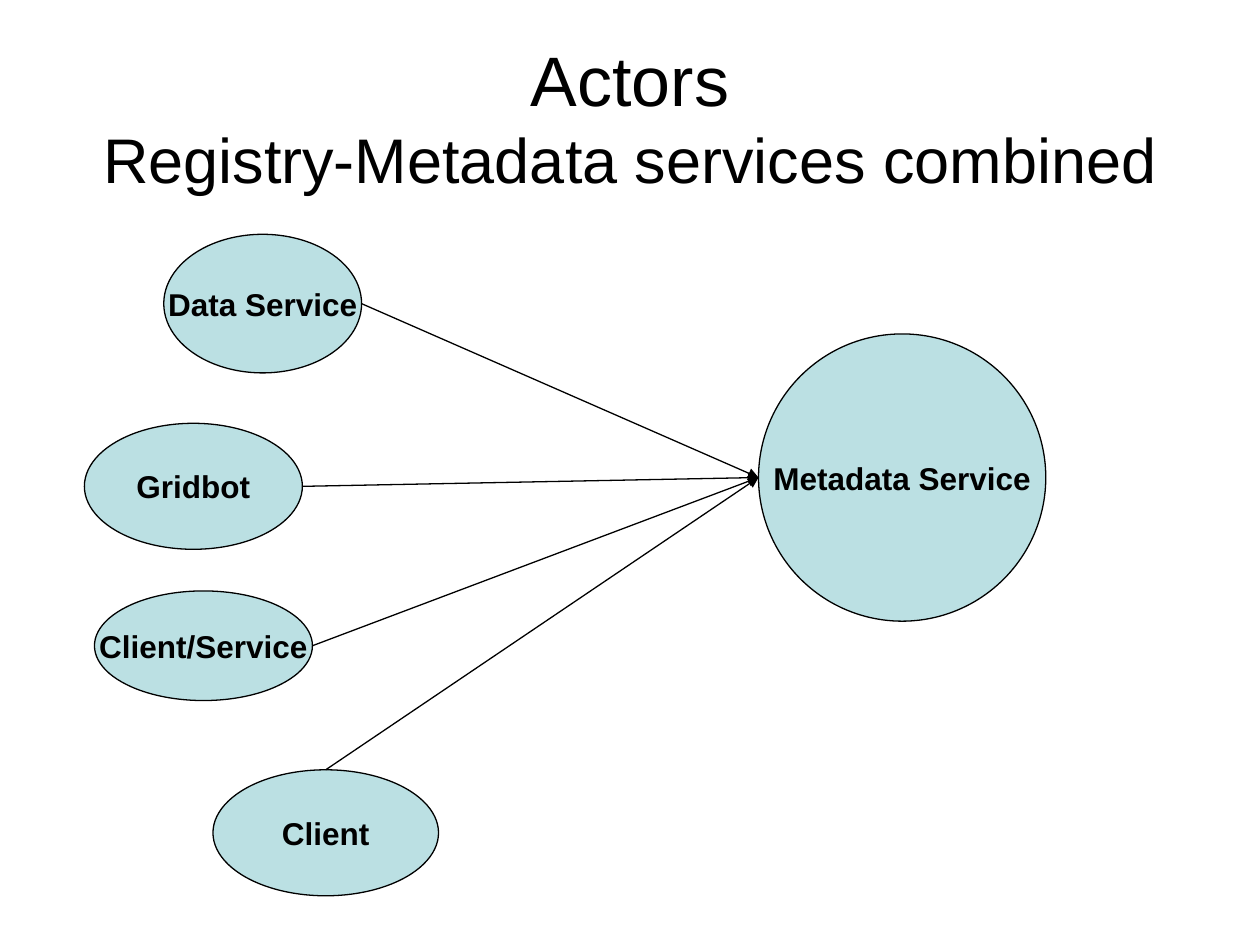
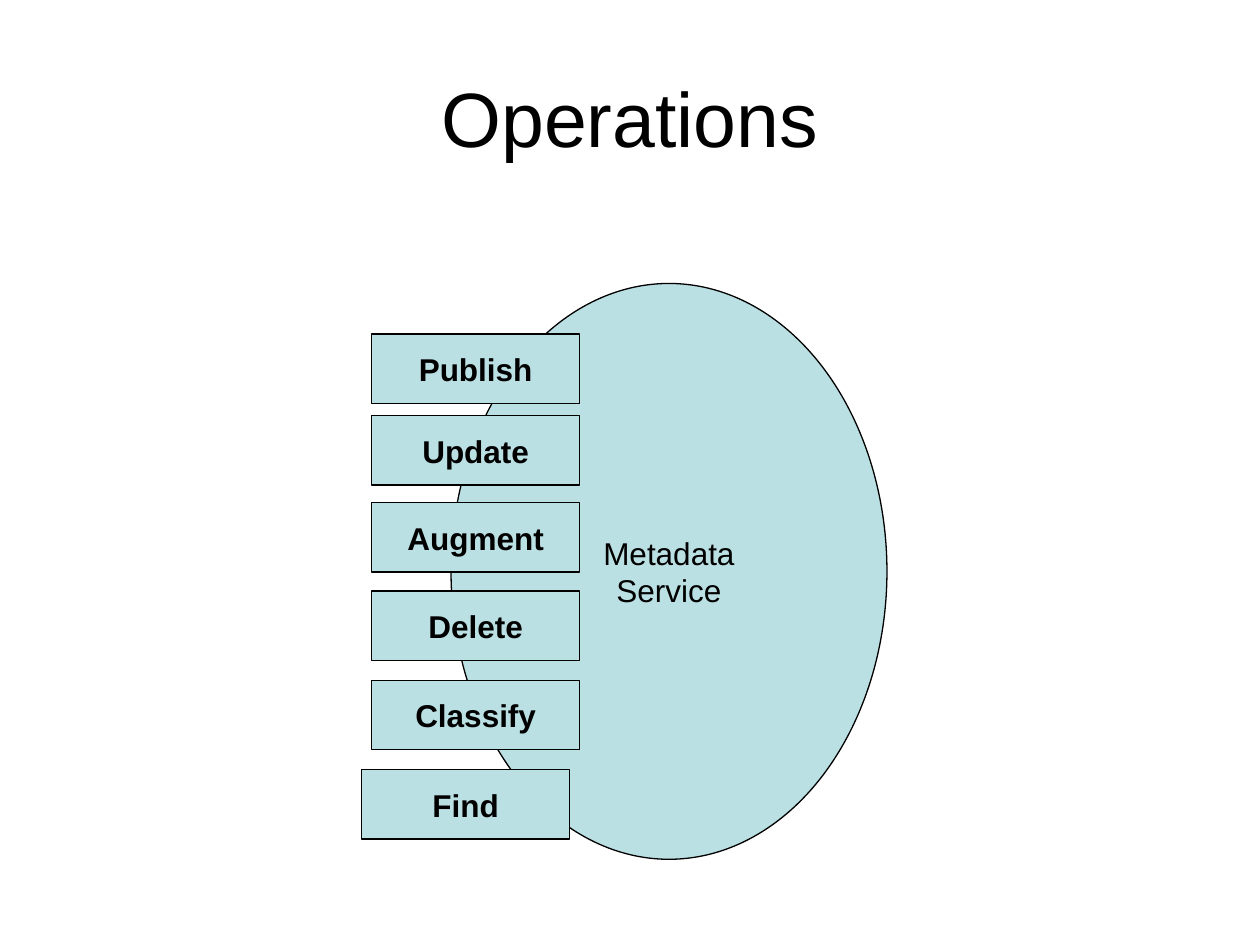
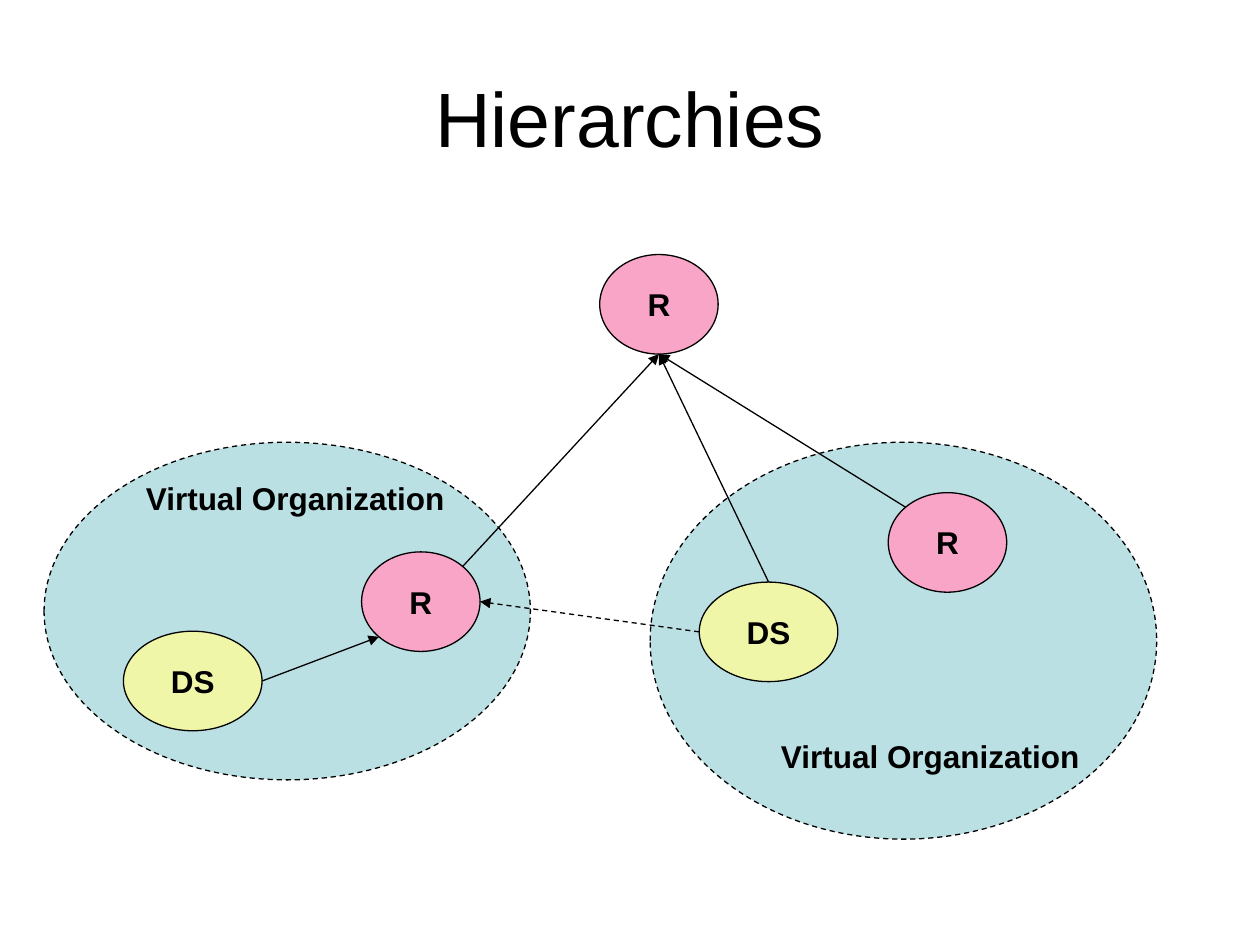
from math import cos, radians, sin

from lxml.etree import SubElement
from pptx import Presentation
from pptx.dml.color import RGBColor
from pptx.enum.dml import MSO_LINE
from pptx.enum.shapes import MSO_CONNECTOR, MSO_SHAPE
from pptx.enum.text import MSO_ANCHOR, MSO_AUTO_SIZE, PP_ALIGN
from pptx.oxml.ns import qn
from pptx.util import Pt

PX = 9144
FONT = "Arial"
BLACK, TEAL, PINK, YELLOW = "000000", "BBE0E3", "F9A5C7", "F0F6A8"
RIGHT, BOTTOM, LEFT, TOP = 0, 90, 180, 270
BOTTOM_LEFT, TOP_LEFT, TOP_RIGHT = 135, 225, 315


def px(*lengths):
    """Turn px lengths into EMU."""
    return [n * PX for n in lengths]


def rgb(color):
    """Return the colour of a hex string."""
    return RGBColor.from_string(color)


def style_run(r, size, bold):
    """Give a run the deck's font and colour."""
    r.font.name = FONT
    r.font.size = Pt(size)
    r.font.bold = bold
    r.font.color.rgb = rgb(BLACK)


def style_line(line, dashed):
    """Draw a thin black line, solid or dashed."""
    line.color.rgb = rgb(BLACK)
    line.width = Pt(0.75)
    if dashed:
        line.dash_style = MSO_LINE.DASH


def write(tf, text, align=PP_ALIGN.CENTER, bold=True):
    """Fill a text frame with unwrapped label text."""
    tf.text = text
    tf.word_wrap = False
    for p in tf.paragraphs:
        p.alignment = align
        for r in p.runs:
            style_run(r, 18, bold)


def add_titled_slide(prs, text, *sizes):
    """Add a title-only slide, with one font size for each title line."""
    s = prs.slides.add_slide(prs.slide_layouts[5])
    sp = s.shapes.title
    sp.left, sp.top, sp.width, sp.height = px(50, 30, 900, 125)
    tf = sp.text_frame
    tf.text = text
    tf.word_wrap = True
    tf.auto_size = MSO_AUTO_SIZE.NONE
    tf.vertical_anchor = MSO_ANCHOR.MIDDLE
    p = tf.paragraphs[0]
    p.alignment = PP_ALIGN.CENTER
    for r, size in zip(p.runs, sizes):
        style_run(r, size, False)
    for br in p._p.findall(qn("a:br")):
        SubElement(br, qn("a:rPr"), sz=str(sizes[0] * 100))
    return s


def add_node(shapes, kind, box, text="", fill=TEAL, bold=True, dashed=False):
    """Add a filled, outlined shape with a centred label."""
    sp = shapes.add_shape(kind, *px(*box))
    sp.shadow.inherit = False
    sp.fill.solid()
    sp.fill.fore_color.rgb = rgb(fill)
    style_line(sp.line, dashed)
    if text:
        sp.text_frame.vertical_anchor = MSO_ANCHOR.MIDDLE
        write(sp.text_frame, text, bold=bold)
    return sp


def add_oval(shapes, box, text="", **look):
    """Add an ellipse node."""
    return add_node(shapes, MSO_SHAPE.OVAL, box, text, **look)


def add_organization(s, box, label_box):
    """Add a dashed organization ellipse grouped with its label."""
    shapes = s.shapes.add_group_shape().shapes
    add_oval(shapes, box, dashed=True)
    tf = shapes.add_textbox(*px(*label_box)).text_frame
    write(tf, "Virtual Organization", PP_ALIGN.LEFT)
    tf.auto_size = MSO_AUTO_SIZE.SHAPE_TO_FIT_TEXT


def rim(sp, angle):
    """Return the point on an ellipse at a clockwise angle from its right."""
    a = radians(angle)
    return (round(sp.left + sp.width / 2 * (1 + cos(a))),
            round(sp.top + sp.height / 2 * (1 + sin(a))))


def add_arrow(s, start, start_angle, end, end_angle, dashed=False):
    """Draw an arrow from the rim of one ellipse to the rim of another."""
    cxn = s.shapes.add_connector(MSO_CONNECTOR.STRAIGHT,
                                 *rim(start, start_angle), *rim(end, end_angle))
    style_line(cxn.line, dashed)
    SubElement(cxn.line._get_or_add_ln(), qn("a:tailEnd"), type="triangle")
    SubElement(cxn._element.spPr, qn("a:effectLst"))


def build_actors(prs):
    """Build the slide of actors that call the metadata service."""
    s = add_titled_slide(prs, "Actors\vRegistry-Metadata services combined", 40, 36)
    service = add_oval(s.shapes, (602, 265, 228, 228), "Metadata Service")
    actors = [
        ("Data Service", (130, 186, 157, 110), RIGHT),
        ("Gridbot", (67, 336, 173, 100), RIGHT),
        ("Client/Service", (75, 469, 173, 87), RIGHT),
        ("Client", (169, 611, 179, 100), TOP),
    ]
    for name, box, side in actors:
        actor = add_oval(s.shapes, box, name)
        add_arrow(s, actor, side, service, LEFT)


def build_operations(prs):
    """Build the slide of operations on the metadata service."""
    s = add_titled_slide(prs, "Operations", 44)
    add_oval(s.shapes, (358, 225, 346, 457), "Metadata\nService", bold=False)
    operations = [
        ("Publish", 295, 265), ("Update", 295, 330), ("Augment", 295, 399),
        ("Delete", 295, 469), ("Classify", 295, 540), ("Find", 287, 611),
    ]
    for name, left, top in operations:
        add_node(s.shapes, MSO_SHAPE.RECTANGLE, (left, top, 165, 55), name)


def build_hierarchies(prs):
    """Build the slide of registries across organizations."""
    s = add_titled_slide(prs, "Hierarchies", 44)
    add_organization(s, (35, 351, 386, 268), (106, 375, 257, 40))
    add_organization(s, (516, 351, 402, 315), (610, 580, 257, 40))
    root, left_r, right_r = [
        add_oval(s.shapes, (x, y, 94, 79), "R", fill=PINK)
        for x, y in [(476, 202), (287, 438), (705, 391)]]
    left_ds, right_ds = [
        add_oval(s.shapes, (x, y, 110, 79), "DS", fill=YELLOW)
        for x, y in [(98, 501), (555, 462)]]
    add_arrow(s, left_ds, RIGHT, left_r, BOTTOM_LEFT)
    add_arrow(s, left_r, TOP_RIGHT, root, BOTTOM)
    add_arrow(s, right_r, TOP_LEFT, root, BOTTOM)
    add_arrow(s, right_ds, TOP, root, BOTTOM)
    add_arrow(s, right_ds, LEFT, left_r, RIGHT, dashed=True)


def main():
    """Build and save the presentation."""
    prs = Presentation()
    prs.slide_width, prs.slide_height = px(1000, 750)
    build_actors(prs)
    build_operations(prs)
    build_hierarchies(prs)
    prs.save("out.pptx")


if __name__ == "__main__":
    main()
